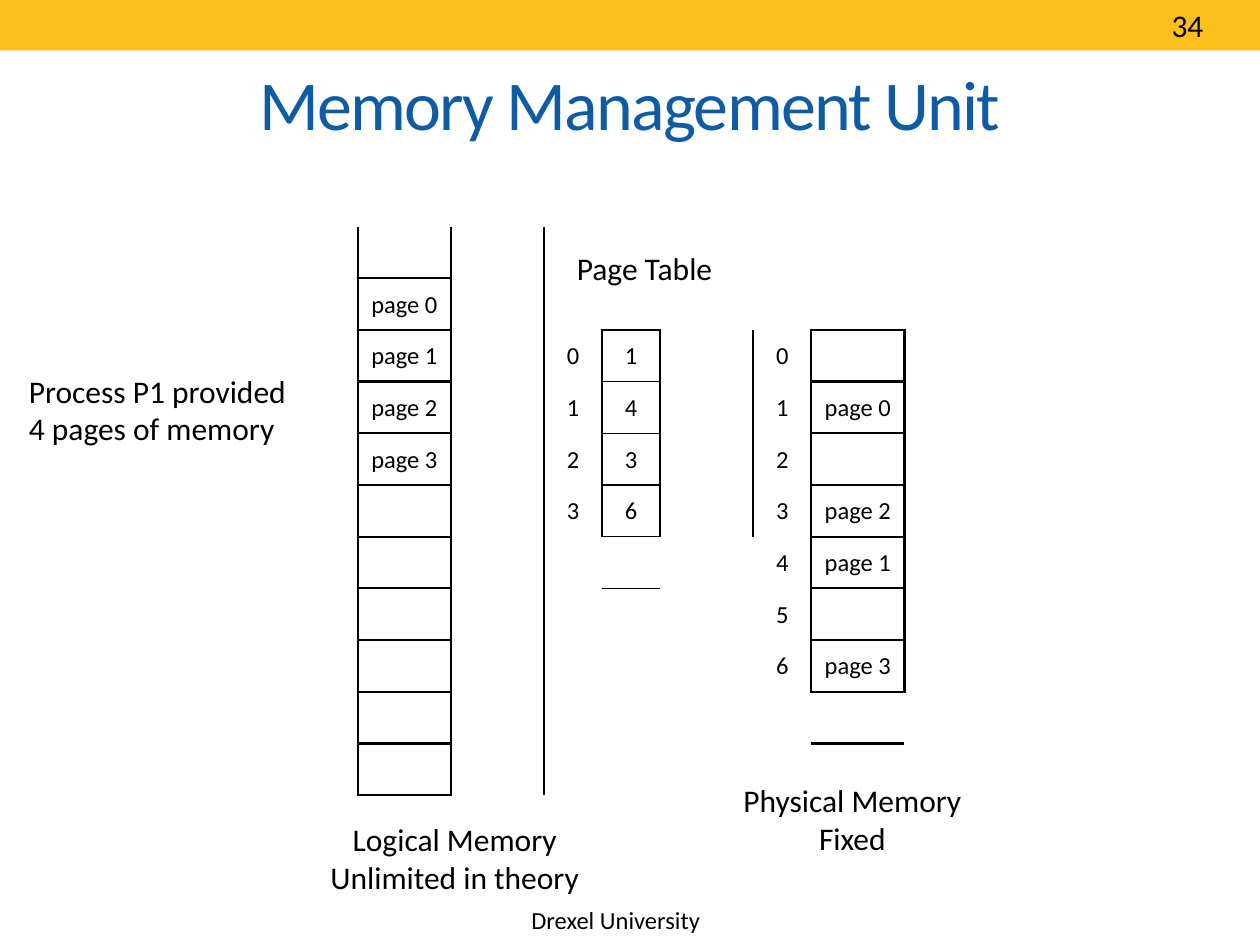
from pptx import Presentation
from pptx.dml.color import RGBColor
from pptx.enum.shapes import MSO_SHAPE
from pptx.enum.text import MSO_ANCHOR, PP_ALIGN
from pptx.util import Pt
from lxml.etree import SubElement
from pptx.oxml.ns import qn

COLORS = {"band": "FBC01E", "title": "105CA4", "ink": "000000"}

deck = Presentation()
deck.slide_width, deck.slide_height = Pt(720), Pt(540)
page = deck.slides.add_slide(deck.slide_layouts[6])


def add_run(para, text, size, color="ink"):
    span = para.add_run()
    span.text = text
    span.font.name = "Calibri"
    span.font.size = Pt(size)
    span.font.color.rgb = RGBColor.from_string(COLORS[color])
    return span


def add_text(left, top, width, height, lines, size=18, align=PP_ALIGN.LEFT, wrap=False, color="ink"):
    box = page.shapes.add_textbox(Pt(left), Pt(top), Pt(width), Pt(height))
    frame = box.text_frame
    frame.word_wrap = wrap
    for index, line in enumerate(lines):
        para = frame.add_paragraph() if index else frame.paragraphs[0]
        para.alignment = align
        add_run(para, line, size, color)
    return frame


band = page.shapes.add_shape(MSO_SHAPE.RECTANGLE, 0, 0, deck.slide_width, Pt(28.8))
band.shadow.inherit = False
band.fill.solid()
band.fill.fore_color.rgb = RGBColor.from_string(COLORS["band"])
band.line.fill.background()

add_text(296.6, 513.4, 113, 24.5, ["Drexel University"], 14)
title = add_text(36, 19.4, 648, 77.8, ["Memory Management Unit"], 40, PP_ALIGN.CENTER, True, "title")
title.vertical_anchor = MSO_ANCHOR.MIDDLE
title.paragraphs[0].runs[0].font._element.set("spc", "-100")
add_text(662.4, 0, 57.6, 26, ["34"], wrap=True)
add_text(180.7, 465.1, 158.4, 72.7, ["Logical Memory", "Unlimited in theory"], align=PP_ALIGN.CENTER)
add_text(414, 442.8, 146.2, 72.7, ["Physical Memory", "Fixed"], align=PP_ALIGN.CENTER)

column_widths = [40.3, 53.2, 53.2, 33.2, 33.2, 53.2, 33.2, 53.2, 40.3]
row_count, row_height = 13, 29.54
grid = page.shapes.add_table(
    row_count, len(column_widths), Pt(164.2), Pt(99.9), Pt(sum(column_widths)), Pt(row_count * row_height)
).table
grid.first_row = grid.horz_banding = False
grid._tbl.tblPr.find(qn("a:tableStyleId")).text = "{2D5ABB26-0587-4C30-8999-92F81FD0307C}"
for column, width in zip(grid.columns, column_widths):
    column.width = Pt(width)
for row in grid.rows:
    row.height = Pt(row_height)

columns_of_text = [
    (1, 2, ["page 0", "page 1", "page 2", "page 3"]),
    (3, 3, ["0", "1", "2", "3"]),
    (4, 3, ["1", "4", "3", "6"]),
    (6, 3, ["0", "1", "2", "3", "4", "5", "6"]),
    (7, 3, ["", "page 0", "", "page 2", "page 1", "", "page 3"]),
]
cell_text = {
    (first + step, column): text
    for column, first, texts in columns_of_text
    for step, text in enumerate(texts)
}

neighbours = {"L": (0, -1, "R"), "R": (0, 1, "L"), "T": (-1, 0, "B"), "B": (1, 0, "T")}
open_edges = {(1, 1, "T"), (11, 1, "B")}
borders = {}
for column, first, last, weight in [(1, 1, 11, 1.5), (4, 3, 6, 1), (7, 3, 9, 1.5)]:
    for row in range(first, last + 1):
        for side, (down, across, opposite) in neighbours.items():
            if (row, column, side) not in open_edges:
                borders[row, column, side] = weight
                borders[row + down, column + across, opposite] = weight

for row in range(row_count):
    for column in range(len(column_widths)):
        cell = grid.cell(row, column)
        cell.margin_left = cell.margin_right = cell.margin_top = Pt(0.75)
        cell.margin_bottom = 0
        cell.vertical_anchor = MSO_ANCHOR.MIDDLE
        para = cell.text_frame.paragraphs[0]
        para.alignment = PP_ALIGN.CENTER
        text = cell_text.get((row, column))
        if text:
            add_run(para, text, 14)
        properties = cell._tc.get_or_add_tcPr()
        for side in "LRTB":
            weight = borders.get((row, column, side))
            if weight:
                line = SubElement(properties, qn(f"a:ln{side}"), w=str(Pt(weight)))
                fill = SubElement(line, qn("a:solidFill"))
                SubElement(fill, qn("a:srgbClr"), val=COLORS["ink"])
        cell.fill.background()

add_text(9.4, 208.8, 163.4, 51.1, ["Process P1 provided", "4 pages of memory"])
add_text(301.7, 139, 133.2, 28.8, ["Page Table"], align=PP_ALIGN.CENTER, wrap=True)

deck.save("out.pptx")
